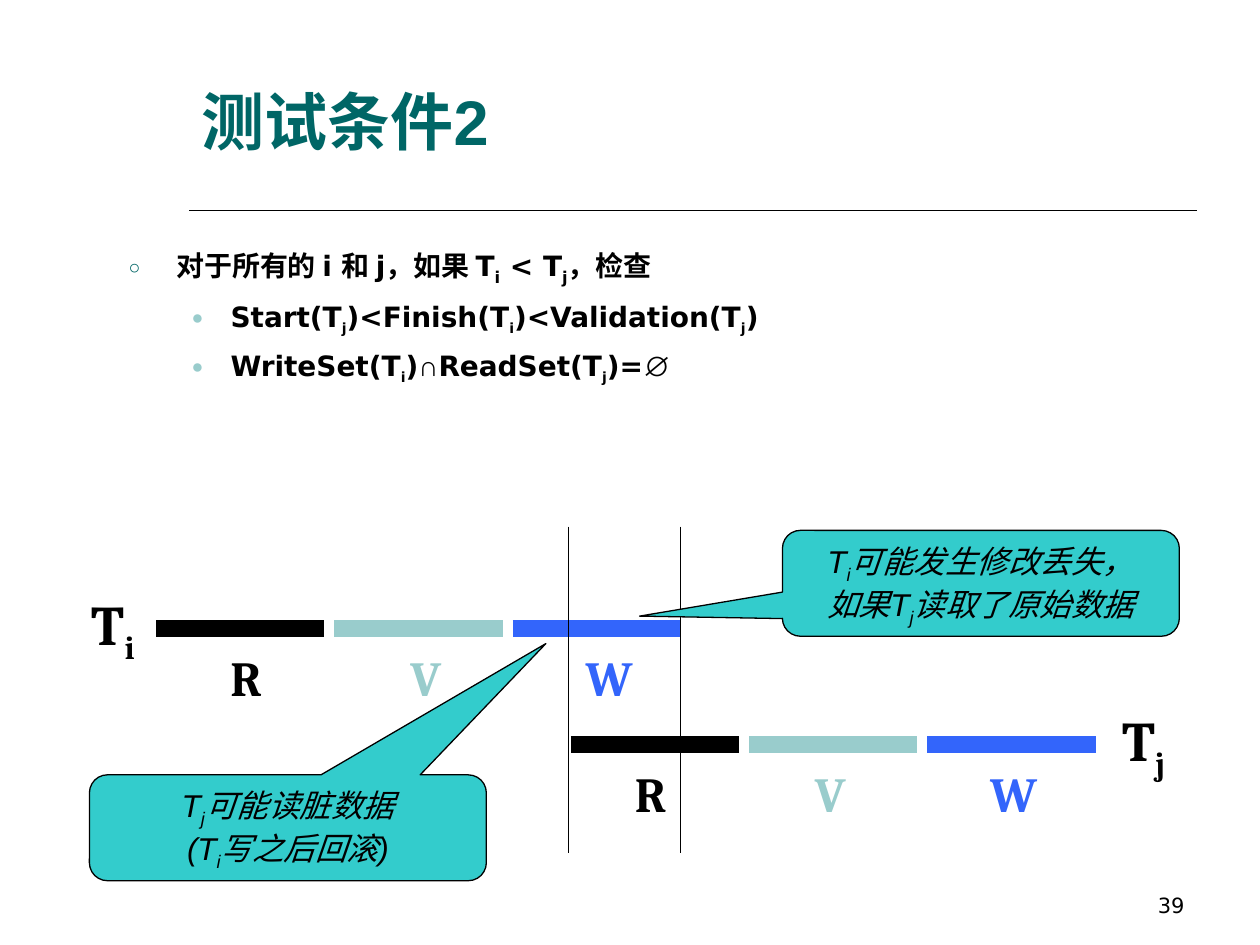
from lxml.etree import SubElement
from pptx import Presentation
from pptx.dml.color import RGBColor
from pptx.enum.shapes import MSO_CONNECTOR, MSO_SHAPE
from pptx.enum.text import MSO_ANCHOR, MSO_AUTO_SIZE, PP_ALIGN
from pptx.oxml.ns import qn
from pptx.util import Inches, Pt

HUES = {"black": "000000", "deep": "006666", "pale": "99CCCC",
        "blue": "3365FB", "aqua": "33CCCC"}
INK = {name: RGBColor.from_string(code) for name, code in HUES.items()}

deck = Presentation()
deck.slide_width, deck.slide_height = Inches(10), Inches(7.5)
slide = deck.slides.add_slide(deck.slide_layouts[1])
shapes = slide.shapes

# Square grid of 100 columns by 75 rows
unit = deck.slide_width // 100


def rule(x1, y1, x2, y2, hue, width):
    """Draw a plain straight line between two grid points."""
    line = shapes.add_connector(MSO_CONNECTOR.STRAIGHT,
                                *[int(v * unit) for v in (x1, y1, x2, y2)])
    line.line.color.rgb = INK[hue]
    line.line.width = Pt(width)
    SubElement(line._element.spPr, qn("a:effectLst"))


def write(para, text, face, size, hue="black", bold=False, slant=False, low=None):
    """Add runs parted by "|"; a leading "_" marks a subscript."""
    for part in text.split("|"):
        sub = part.startswith("_")
        run = para.add_run()
        run.text = part.lstrip("_")
        font = run.font
        font.name = "Arial" if part in "∩∅" else face
        font.size = Pt(low if sub and low else size)
        font.bold, font.italic = bold, slant
        font.color.rgb = INK[hue]
        if sub:
            run._r.get_or_add_rPr().set("baseline", "-25000")


# Title and the rule below it
title, body = slide.placeholders
rule(15, 16.7, 95, 16.7, "black", 1)
title.left, title.top, title.width, title.height = [
    int(v * unit) for v in (15, 3.3, 80, 12.5)]
frame = title.text_frame
frame.auto_size = MSO_AUTO_SIZE.NONE
frame.vertical_anchor = MSO_ANCHOR.MIDDLE
frame.paragraphs[0].alignment = PP_ALIGN.LEFT
write(frame.paragraphs[0], "测试条件2", "Arial", 36, "deep", bold=True)

# Bullet list
body.left, body.top, body.width, body.height = [
    int(v * unit) for v in (9.2, 19.2, 90.8, 11.7)]
frame = body.text_frame
frame.auto_size = MSO_AUTO_SIZE.NONE
points = [
    (0, "对于所有的 i 和 j，如果 T|_i| < T|_j|，检查"),
    (1, "Start(T|_j|)<Finish(T|_i|)<Validation(T|_j|)"),
    (1, "WriteSet(T|_i|)|∩|ReadSet(T|_j|)=|∅"),
]
looks = [("○", "deep", 0.38, 0.38, 16), ("●", "pale", 0.81, 0.31, 13.8)]
for row, (level, text) in enumerate(points):
    para = frame.add_paragraph() if row else frame.paragraphs[0]
    mark, hue, left, hang, low = looks[level]
    para.level = level
    para.space_before = Pt(7.3 if row else 0)
    props = para._p.get_or_add_pPr()
    props.set("marL", str(Inches(left)))
    props.set("indent", str(-Inches(hang)))
    color = SubElement(props, qn("a:buClr"))
    SubElement(color, qn("a:srgbClr"), val=HUES[hue])
    SubElement(props, qn("a:buSzPct"), val="70000")
    SubElement(props, qn("a:buChar"), char=mark)
    write(para, text, "DejaVu Sans", 16, bold=True, low=low)

# Phase bars of both transactions, with their letters
labels = [(6.3, 46.3, 5.8, 7.1, "T|_i", 32, "black"),
          (88.1, 55.5, 5.8, 7.1, "T|_j", 32, "black")]
phases = [("R", "black", 4.9, 4.8), ("V", "pale", 19.2, 4.7),
          ("W", "blue", 33.1, 6.2)]
pitch, length = 14.15, 13.35
for left, top, shift in [(12.4, 49.9, 0), (45.3, 59.1, -0.8)]:
    for col, (name, hue, gap, width) in enumerate(phases):
        start = left + col * pitch
        rule(start, top, start + length, top, hue, 10)
        labels.append((left + gap + shift, top + 1, width, 5.7, name, 28, hue))

for x, y, w, h, text, size, hue in labels:
    box = shapes.add_textbox(*[int(v * unit) for v in (x, y, w, h)])
    box.text_frame.word_wrap = False
    write(box.text_frame.paragraphs[0], text, "Cambria", size, hue, bold=True)

# Callouts, with the overlap limits between them
notes = [
    (7.1, 61.5, (0.65, -1.74, 0.17), ["T|_j|可能读脏数据", "(T|_i|写之后回滚)"]),
    (62.1, 42.1, (-0.86, 0.31, 0.17), ["T|_i|可能发生修改丢失，", "如果T|_j|读取了原始数据"]),
]
for order, (x, y, tip, lines) in enumerate(notes):
    if order:
        for edge in (45.1, 54):
            rule(edge, 41.8, edge, 67.7, "black", 0.75)
    note = shapes.add_shape(MSO_SHAPE.ROUNDED_RECTANGULAR_CALLOUT,
                            *[int(v * unit) for v in (x, y, 31.5, 8.4)])
    note.shadow.inherit = False
    note.fill.solid()
    note.fill.fore_color.rgb = INK["aqua"]
    note.line.color.rgb = INK["black"]
    note.line.width = Pt(0.75)
    for spot, value in enumerate(tip):
        note.adjustments[spot] = value
    frame = note.text_frame
    frame.vertical_anchor = MSO_ANCHOR.TOP
    for row, text in enumerate(lines):
        para = frame.add_paragraph() if row else frame.paragraphs[0]
        para.alignment = PP_ALIGN.CENTER
        write(para, text, "Arial", 18, slant=True)

# Page number
box = shapes.add_textbox(*[int(v * unit) for v in (71.7, 68.3, 23.3, 5)])
frame = box.text_frame
frame.word_wrap = True
frame.vertical_anchor = MSO_ANCHOR.BOTTOM
frame.paragraphs[0].alignment = PP_ALIGN.RIGHT
write(frame.paragraphs[0], "39", "DejaVu Sans", 12)

deck.save("out.pptx")
